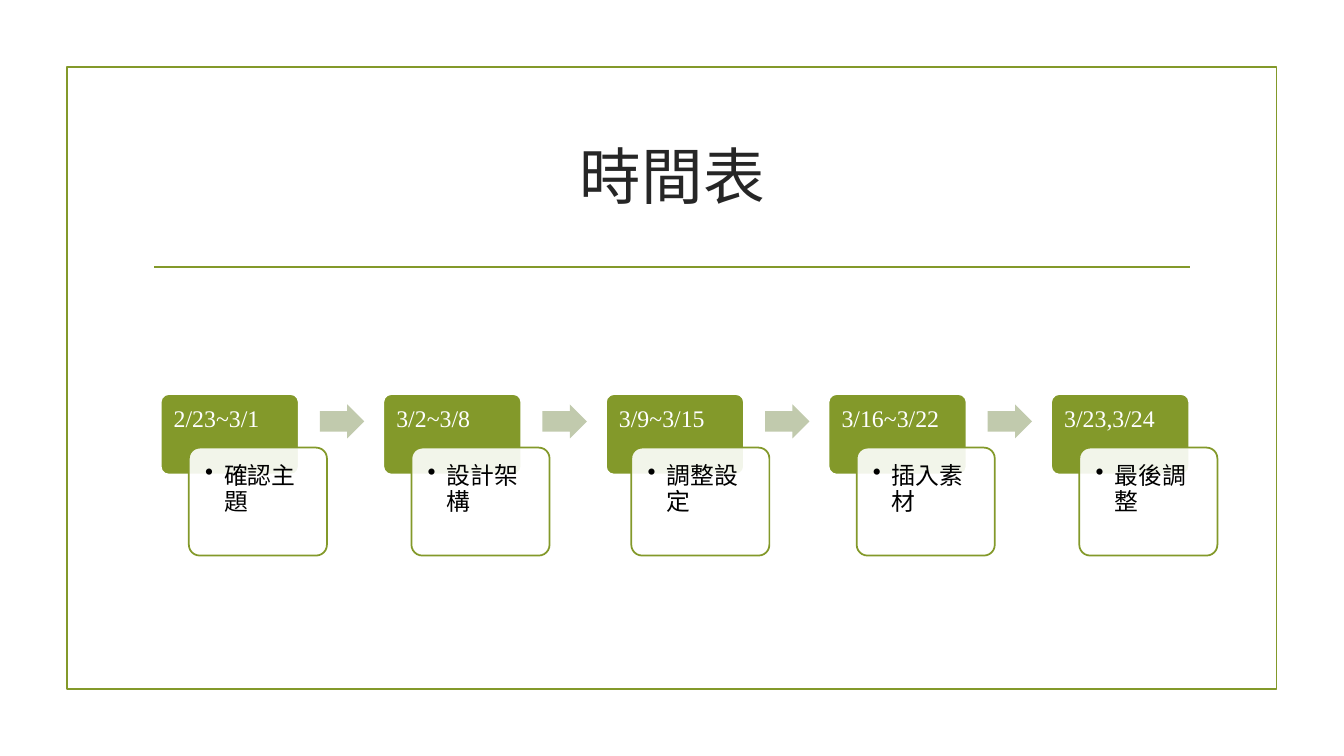
from dataclasses import dataclass

from lxml.etree import SubElement
from pptx import Presentation
from pptx.dml.color import RGBColor
from pptx.enum.shapes import MSO_CONNECTOR, MSO_SHAPE
from pptx.enum.text import MSO_ANCHOR, PP_ALIGN
from pptx.oxml.ns import qn
from pptx.util import Cm, Pt


@dataclass(frozen=True)
class Theme:
    green: str = "83992A"
    arrow: str = "C1CAAD"
    white: str = "FFFFFF"
    title: str = "262626"
    black: str = "000000"
    font: str = "Times New Roman"
    title_size: float = 44
    body_size: float = 17
    line_width: float = 1.25


THEME = Theme()

# Dates, task, and sideways shift of the task card in cm
STEPS = [
    ("2/23~3/1", "確認主題", 0),
    ("3/2~3/8", "設計架構", 0),
    ("3/9~3/15", "調整設定", -0.07),
    ("3/16~3/22", "插入素材", 0),
    ("3/23,3/24", "最後調整", 0),
]
FIRST_LEFT, PITCH = 4.05, 5.61


def add_box(s, kind, left, top, width, height, fill=None, line=None):
    sp = s.shapes.add_shape(kind, Cm(left), Cm(top), Cm(width), Cm(height))
    sp.shadow.inherit = False
    if fill:
        sp.fill.solid()
        sp.fill.fore_color.rgb = RGBColor.from_string(fill)
    else:
        sp.fill.background()
    if line:
        sp.line.color.rgb = RGBColor.from_string(line)
        sp.line.width = Pt(THEME.line_width)
    else:
        sp.line.fill.background()
    return sp


def write(sp, text, size, color, align=PP_ALIGN.LEFT, anchor=MSO_ANCHOR.TOP):
    tf = sp.text_frame
    tf.word_wrap = True
    tf.vertical_anchor = anchor
    p = tf.paragraphs[0]
    p.text = text
    p.alignment = align
    p.line_spacing = 0.9
    r = p.runs[0]
    r.font.name = THEME.font
    r.font.size = Pt(size)
    r.font.color.rgb = RGBColor.from_string(color)
    r._r.get_or_add_rPr().set("lang", "zh-TW")
    return p


def set_margins(sp, margin):
    tf = sp.text_frame
    tf.margin_left = tf.margin_top = tf.margin_right = tf.margin_bottom = Cm(margin)


def add_title(s, text):
    sp = s.shapes.add_textbox(Cm(3.61), Cm(2.72), Cm(26.67), Cm(3.63))
    write(sp, text, THEME.title_size, THEME.title, PP_ALIGN.CENTER, MSO_ANCHOR.MIDDLE)


def add_rule(s, left, right, y):
    line = s.shapes.add_connector(MSO_CONNECTOR.STRAIGHT, Cm(left), Cm(y), Cm(right), Cm(y))
    line.line.color.rgb = RGBColor.from_string(THEME.green)
    line.line.width = Pt(THEME.line_width)
    SubElement(line._element.spPr, qn("a:effectLst"))


def add_date(s, left, text):
    sp = add_box(s, MSO_SHAPE.ROUNDED_RECTANGLE, left, 9.93, 3.48, 2.03,
                 THEME.green, THEME.white)
    sp.adjustments[0] = 0.1
    set_margins(sp, 0.27)
    write(sp, text, THEME.body_size, THEME.white)


def add_task(s, left, text):
    sp = add_box(s, MSO_SHAPE.ROUNDED_RECTANGLE, left, 11.28, 3.48, 2.72,
                 THEME.white, THEME.green)
    sp.adjustments[0] = 0.1
    # Slightly see-through fill
    color = sp._element.spPr.find(qn("a:solidFill"))[0]
    SubElement(color, qn("a:alpha"), val="90000")
    set_margins(sp, 0.33)
    p = write(sp, text, THEME.body_size, THEME.black)
    # Hanging bullet
    pPr = p._p.get_or_add_pPr()
    pPr.set("marL", str(Cm(0.48)))
    pPr.set("indent", str(Cm(-0.48)))
    SubElement(pPr, qn("a:buChar"), char="•")


def add_arrow(s, left):
    sp = add_box(s, MSO_SHAPE.RIGHT_ARROW, left, 10.19, 1.12, 0.86, THEME.arrow)
    sp.adjustments[0] = 0.6
    sp.adjustments[1] = 0.5


def main():
    prs = Presentation()
    prs.slide_width, prs.slide_height = Cm(33.87), Cm(19.05)
    s = prs.slides.add_slide(prs.slide_layouts[6])

    # Frame and heading
    add_box(s, MSO_SHAPE.RECTANGLE, 1.69, 1.69, 30.48, 15.68, line=THEME.green)
    add_rule(s, 3.89, 30, 6.73)
    add_title(s, "時間表")

    # Timeline
    for i, (dates, task, shift) in enumerate(STEPS):
        left = FIRST_LEFT + i * PITCH
        add_date(s, left, dates)
        add_task(s, left + 0.71 + shift, task)
        if i < len(STEPS) - 1:
            add_arrow(s, left + 4.01)

    prs.save("out.pptx")


if __name__ == "__main__":
    main()
